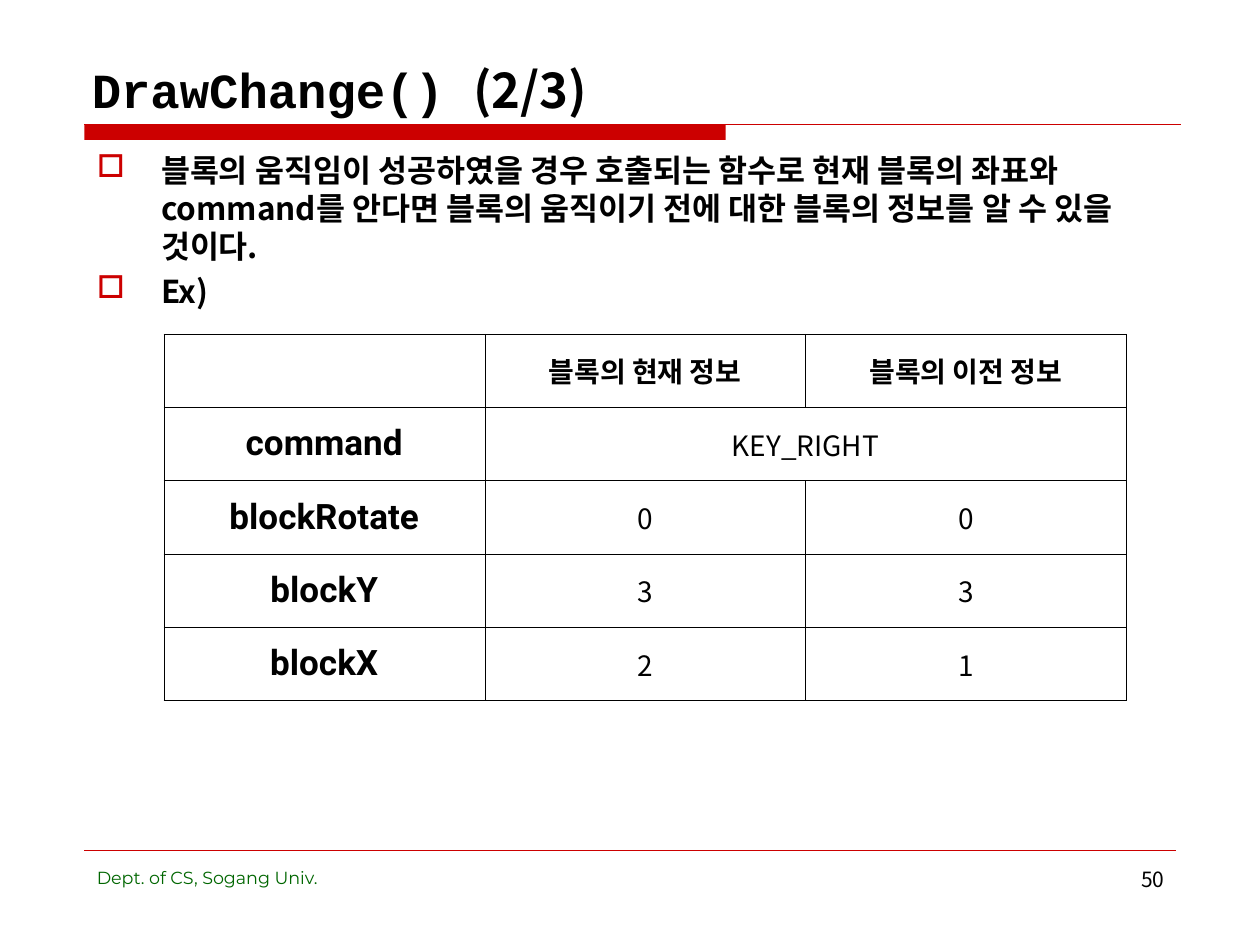
from lxml import etree
from pptx import Presentation
from pptx.dml.color import RGBColor
from pptx.enum import shapes, text
from pptx.oxml.ns import qn
from pptx.util import Inches, Pt

RED = RGBColor(0xCC, 0x00, 0x00)
GREEN = RGBColor(0x00, 0x66, 0x00)
BLACK = RGBColor(0x00, 0x00, 0x00)

KOREAN = "Noto Sans CJK KR"
TITLE = {"name": "Courier New", "size": Pt(28), "bold": True}
TITLE_PART = {"name": KOREAN, "size": Pt(28), "bold": True}
BODY = {"name": KOREAN, "size": Pt(18), "bold": True}
HEADING = {"name": KOREAN, "size": Pt(16), "bold": True}
LABEL = {"name": "Roboto", "size": Pt(20), "bold": True}
VALUE = {"name": KOREAN, "size": Pt(16), "bold": False}
FOOTER = {"name": "Montserrat", "size": Pt(10)}
PAGE_NUMBER = {"name": KOREAN, "size": Pt(12)}

BULLETS = [
    "블록의 움직임이 성공하였을 경우 호출되는 함수로 현재 블록의 좌표와 command를 "
    "안다면 블록의 움직이기 전에 대한 블록의 정보를 알 수 있을 것이다.",
    "Ex)",
]
ROWS = [
    ["", "블록의 현재 정보", "블록의 이전 정보"],
    ["command", "KEY_RIGHT", ""],
    ["blockRotate", "0", "0"],
    ["blockY", "3", "3"],
    ["blockX", "2", "1"],
]


def add_span(para, words, style, color=BLACK):
    span = para.add_run()
    span.text = words
    span.font.color.rgb = color
    for name, value in style.items():
        setattr(span.font, name, value)
    properties = span.font._element
    etree.SubElement(properties, qn("a:ea"), typeface=style["name"])


def add_box(page, left, top, width, height, anchor=text.MSO_ANCHOR.TOP):
    """Add a wrapping text box and return its text frame."""
    box = page.shapes.add_textbox(
        Inches(left), Inches(top), Inches(width), Inches(height))
    frame = box.text_frame
    frame.word_wrap = True
    frame.vertical_anchor = anchor
    return frame


def add_rule(page, left, right, top, weight):
    rule = page.shapes.add_connector(
        shapes.MSO_CONNECTOR.STRAIGHT,
        Inches(left), Inches(top), Inches(right), Inches(top))
    rule.line.color.rgb = RED
    rule.line.width = Pt(weight)
    etree.SubElement(rule._element.spPr, qn("a:effectLst"))


def add_bar(page, left, top, width, height):
    bar = page.shapes.add_shape(
        shapes.MSO_SHAPE.RECTANGLE,
        Inches(left), Inches(top), Inches(width), Inches(height))
    bar.shadow.inherit = False
    bar.fill.solid()
    bar.fill.fore_color.rgb = RED
    bar.line.fill.background()


def add_bullet(para):
    """Give the paragraph a hanging red square."""
    properties = para._p.get_or_add_pPr()
    properties.set("marL", str(Inches(0.51)))
    properties.set("indent", str(-Inches(0.51)))
    color = etree.SubElement(properties, qn("a:buClr"))
    etree.SubElement(color, qn("a:srgbClr"), val=str(RED))
    etree.SubElement(properties, qn("a:buChar"), char="□")


def add_bullets(page):
    frame = add_box(page, 0.67, 1.15, 8.66, 5.28)
    for index, words in enumerate(BULLETS):
        para = frame.add_paragraph() if index else frame.paragraphs[0]
        add_bullet(para)
        if index:
            para.space_before = Pt(4.5)
        add_span(para, words, BODY)


def add_borders(cell):
    properties = cell._tc.get_or_add_tcPr()
    for side in ("lnL", "lnR", "lnT", "lnB"):
        border = etree.SubElement(
            properties, qn(f"a:{side}"), w=str(Pt(0.06)))
        fill = etree.SubElement(border, qn("a:solidFill"))
        etree.SubElement(fill, qn("a:srgbClr"), val=str(BLACK))


def add_block_table(page):
    table = page.shapes.add_table(
        len(ROWS), len(ROWS[0]),
        Inches(1.3), Inches(2.65), Inches(7.64), Inches(2.91)).table
    table.first_row = table.horz_banding = False
    for row, entries in enumerate(ROWS):
        for column, words in enumerate(entries):
            cell = table.cell(row, column)
            add_borders(cell)
            cell.fill.background()
            cell.vertical_anchor = text.MSO_ANCHOR.MIDDLE
            if words:
                style = HEADING if row == 0 else VALUE if column else LABEL
                para = cell.text_frame.paragraphs[0]
                para.alignment = text.PP_ALIGN.CENTER
                add_span(para, words, style)
    table.cell(1, 1).merge(table.cell(1, 2))


def main():
    deck = Presentation()
    deck.slide_width, deck.slide_height = Inches(10), Inches(7.5)
    page = deck.slides.add_slide(deck.slide_layouts[6])

    add_bar(page, 0.67, 0.99, 5.09, 0.12)
    add_rule(page, 0.67, 9.37, 0.99, 0.75)
    add_rule(page, 0.67, 9.33, 6.75, 0.25)

    title = add_box(page, 0.63, 0.33, 8.75, 0.66, text.MSO_ANCHOR.BOTTOM)
    add_span(title.paragraphs[0], "DrawChange() ", TITLE)
    add_span(title.paragraphs[0], "(2/3)", TITLE_PART)

    footer = add_box(page, 0.67, 6.83, 3.55, 0.52)
    add_span(footer.paragraphs[0], "Dept. of CS, Sogang Univ.", FOOTER, GREEN)
    number = add_box(page, 7.17, 6.83, 2.17, 0.52).paragraphs[0]
    number.alignment = text.PP_ALIGN.RIGHT
    add_span(number, "50", PAGE_NUMBER)

    add_bullets(page)
    add_block_table(page)
    deck.save("out.pptx")


if __name__ == "__main__":
    main()
